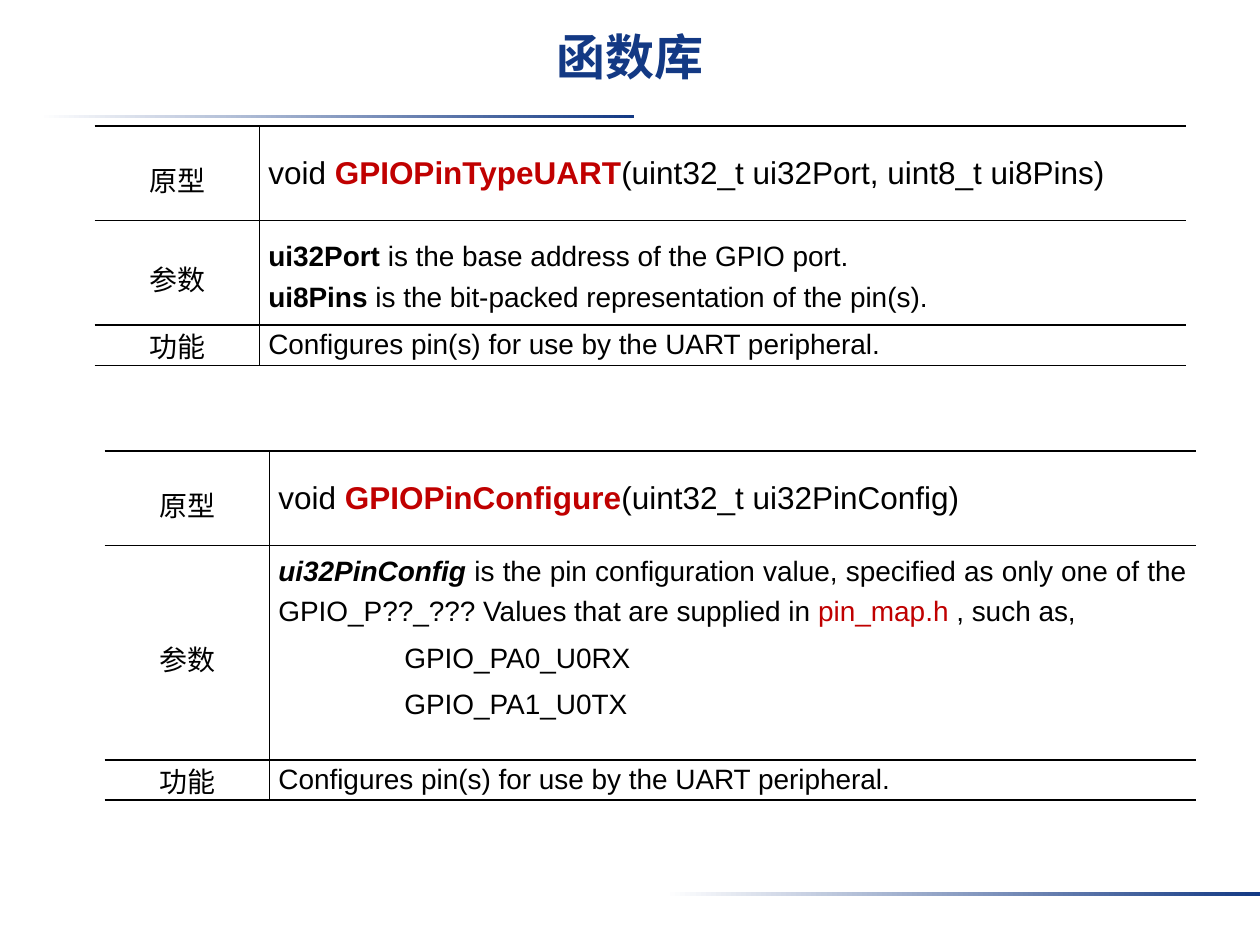
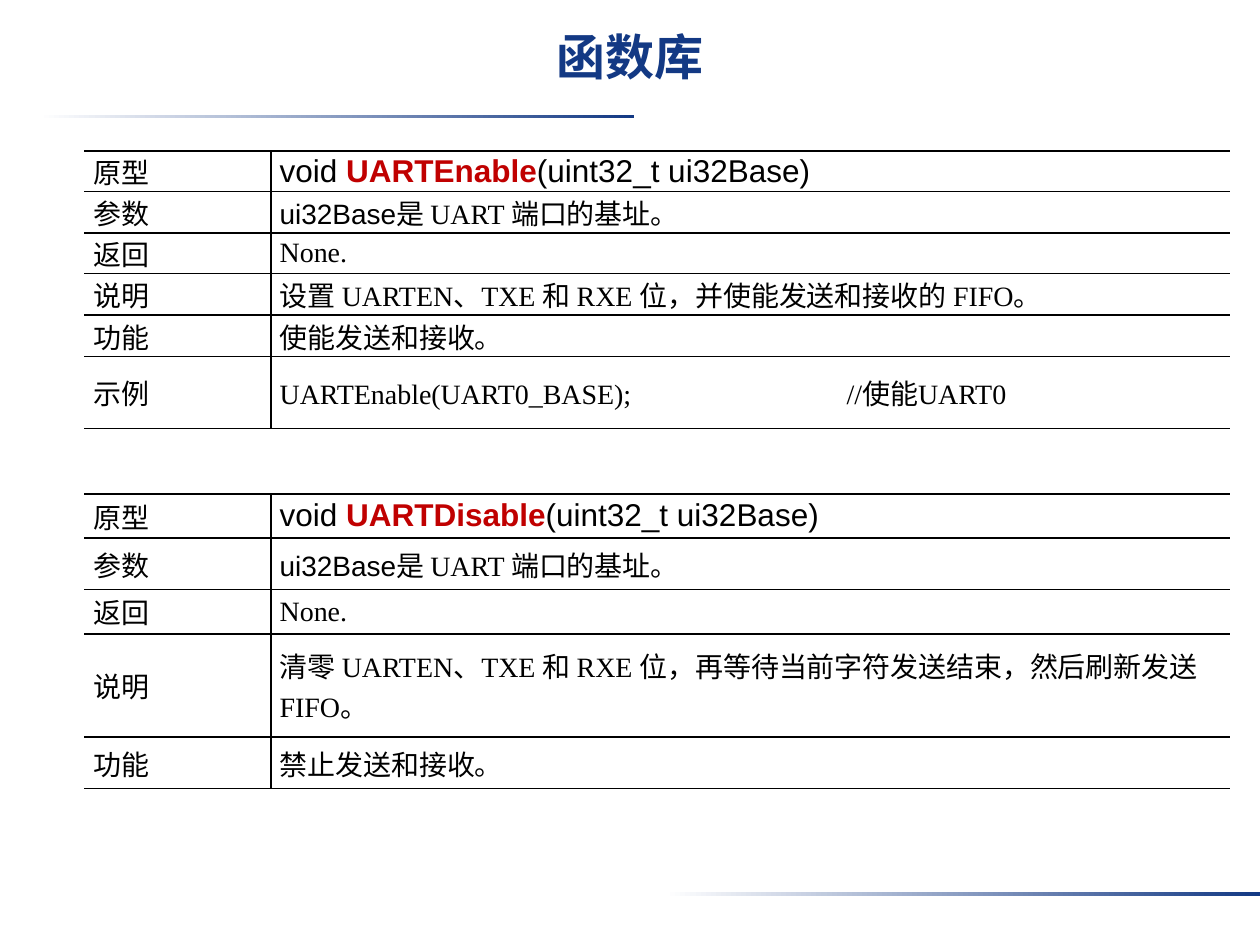
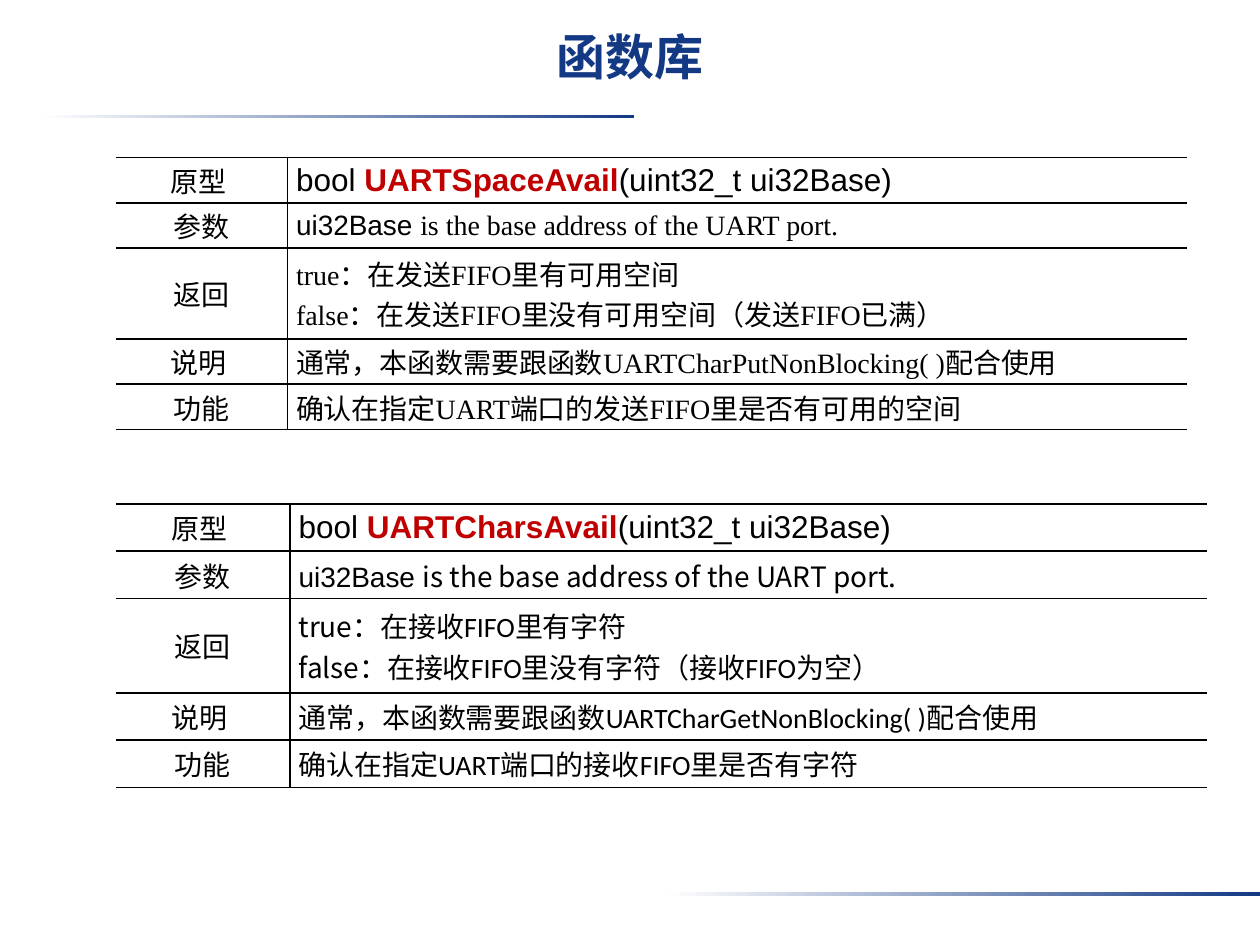
from dataclasses import dataclass

import pptx
import pptx.dml.color
import pptx.enum.dml
import pptx.enum.shapes
import pptx.enum.text
import pptx.oxml
import pptx.oxml.ns
import pptx.util
from pptx.util import Inches, Pt

RGBColor = pptx.dml.color.RGBColor
ALIGN = pptx.enum.text.PP_ALIGN
ANCHOR = pptx.enum.text.MSO_ANCHOR

NAVY = RGBColor(0x13, 0x39, 0x84)
RED = RGBColor(0xC0, 0x00, 0x00)
BLACK = RGBColor(0, 0, 0)
WHITE = RGBColor(0xFF, 0xFF, 0xFF)

ARIAL, TIMES, CALIBRI = "Arial", "Times New Roman", "Calibri"
CJK = "Noto Sans CJK SC"
TITLE = "函数库"


# Content model
@dataclass(frozen=True)
class Span:
    text: str
    font: str = ""  # empty: the font of the table
    size: int = 16
    bold: bool = False
    italic: bool = False
    color: RGBColor = BLACK


@dataclass(frozen=True)
class Line:
    spans: tuple[Span, ...]
    align: ALIGN = ALIGN.JUSTIFY
    spacing: float = 1.0
    indent: float = 0


@dataclass(frozen=True)
class Row:
    label: str
    height: float
    lines: tuple[Line, ...]
    label_spacing: float = 1.0
    bottom_margin: float = 0


@dataclass(frozen=True)
class FunctionTable:
    left: float
    top: float
    widths: tuple[float, float]
    rows: tuple[Row, ...]
    font: str = TIMES
    label_align: ALIGN = ALIGN.CENTER


@dataclass(frozen=True)
class Band:
    left: float
    top: float


BANDS = (Band(0.31, 0.91), Band(5.28, 7.08))


def line(*spans: Span | str, **layout) -> Line:
    return Line(tuple(Span(s) if isinstance(s, str) else s for s in spans), **layout)


def row(label: str, height: float, *lines: Line | str, **layout) -> Row:
    return Row(label, height, tuple(line(t) if isinstance(t, str) else t for t in lines), **layout)


def prototype(returns: str, name: str, arguments: str) -> Line:
    return line(Span(f"{returns} ", ARIAL, 18), Span(name, ARIAL, 18, bold=True, color=RED),
                Span(f"({arguments}) ", ARIAL, 18), align=ALIGN.LEFT)


# Text
def add_text(paragraph, text: str, *, font: str, size: float, color: RGBColor = BLACK,
             bold: bool = False, italic: bool = False) -> None:
    run = paragraph.add_run()
    run.text = text
    run.font.name, run.font.size = font, Pt(size)
    run.font.bold, run.font.italic = bold, italic
    run.font.color.rgb = color
    properties = run.font._element if hasattr(run.font, "_element") else run._r.get_or_add_rPr()
    properties.set("lang", "zh-CN")
    east_asian = pptx.oxml.parse_xml(
        f'<a:ea {pptx.oxml.ns.nsdecls("a")} typeface="{CJK}"/>')
    properties.find(pptx.oxml.ns.qn("a:latin")).addnext(east_asian)


# Tables
def set_borders(cell, visible: str) -> None:
    properties = cell._tc.get_or_add_tcPr()
    for position, side in enumerate("LRTB"):
        paint = f'<a:solidFill><a:srgbClr val="{BLACK}"/></a:solidFill>'
        if side not in visible:
            paint = "<a:noFill/>"
        properties.insert(position, pptx.oxml.parse_xml(
            f'<a:ln{side} {pptx.oxml.ns.nsdecls("a")} w="{Pt(1)}">{paint}</a:ln{side}>'))


def fill_cell(cell, lines: tuple[Line, ...], font: str, borders: str, bottom: float = 0) -> None:
    cell.fill.background()
    cell.vertical_anchor = ANCHOR.MIDDLE
    cell.margin_left = cell.margin_right = Inches(0.07)
    cell.margin_top, cell.margin_bottom = 0, Inches(bottom)
    for index, content in enumerate(lines):
        frame = cell.text_frame
        paragraph = frame.add_paragraph() if index else frame.paragraphs[0]
        paragraph.alignment = content.align
        paragraph.line_spacing = content.spacing
        if content.indent:
            paragraph._p.get_or_add_pPr().set("marL", str(Inches(content.indent)))
        for span in content.spans:
            add_text(paragraph, span.text, font=span.font or font, size=span.size,
                     bold=span.bold, italic=span.italic, color=span.color)
    set_borders(cell, borders)


def add_function_table(slide, spec: FunctionTable) -> None:
    height = sum(r.height for r in spec.rows)
    table = slide.shapes.add_table(len(spec.rows), 2, Inches(spec.left), Inches(spec.top),
                                   Inches(sum(spec.widths)), Inches(height)).table
    table.first_row = table.horz_banding = False
    for column, width in zip(table.columns, spec.widths):
        column.width = Inches(width)
    for index, content in enumerate(spec.rows):
        table.rows[index].height = Inches(content.height)
        label = line(content.label, align=spec.label_align, spacing=content.label_spacing)
        fill_cell(table.cell(index, 0), (label,), spec.font, "RTB")
        fill_cell(table.cell(index, 1), content.lines, spec.font, "LTB", content.bottom_margin)


# Shared title and gradient bands
def add_title(slide) -> None:
    title = slide.shapes.title
    title.left, title.top, title.width, title.height = 0, Inches(0.2), Inches(10), Inches(0.75)
    frame = title.text_frame
    frame.auto_size = pptx.enum.text.MSO_AUTO_SIZE.NONE
    frame.vertical_anchor = ANCHOR.TOP
    frame.margin_top, frame.margin_bottom = Inches(0.06), Inches(0.05)
    paragraph = frame.paragraphs[0]
    paragraph.alignment = ALIGN.CENTER
    paragraph.line_spacing = 0.9
    add_text(paragraph, TITLE, font=ARIAL, size=28, bold=True, color=NAVY)


def add_master_bands(master, slide) -> None:
    for spec in BANDS:
        band = slide.shapes.add_shape(pptx.enum.shapes.MSO_SHAPE.RECTANGLE, Inches(spec.left),
                                      Inches(spec.top), Inches(4.72), Inches(0.03))
        band.shadow.inherit = False
        band.line.fill.background()
        band.fill.gradient()
        band.fill.gradient_angle = 0
        for stop, position, color in zip(band.fill.gradient_stops, (0, 1), (WHITE, NAVY)):
            stop.position = position
            stop.color.rgb = color
        master.shapes.element.append(band.element)


# Slide 1: pin set-up
UART_PINS = "Configures pin(s) for use by the UART peripheral.  "
PIN_TYPE = FunctionTable(0.75, 1, (1.31, 7.35), (
    row("原型", 0.75, prototype("void", "GPIOPinTypeUART", "uint32_t ui32Port, uint8_t ui8Pins"),
        label_spacing=1.3),
    row("参数", 0.83,
        line(Span("ui32Port ", bold=True), "is the base address of the GPIO port. ", spacing=1.3),
        line(Span("ui8Pins ", bold=True), "is the bit-packed representation of the pin(s). ",
             spacing=1.3),
        label_spacing=1.3),
    row("功能", 0.32, UART_PINS)), font=ARIAL)
PIN_CONFIGURE = FunctionTable(0.83, 3.58, (1.31, 7.35), (
    row("原型", 0.75, prototype("void", "GPIOPinConfigure", "uint32_t ui32PinConfig"),
        label_spacing=1.3),
    row("参数", 1.7,
        line(Span("ui32PinConfig ", bold=True, italic=True),
             "is the pin configuration value, specified as only one of the "
             "GPIO_P??_??? Values that are supplied in ",
             Span("pin_map.h", color=RED), " , such as,", spacing=1.3),
        *(line(pin, align=ALIGN.LEFT, spacing=1.5, indent=1)
          for pin in ("GPIO_PA0_U0RX", "GPIO_PA1_U0TX")),
        label_spacing=1.3, bottom_margin=0.3),
    row("功能", 0.32, UART_PINS)), font=ARIAL)

# Slide 2: switching the port on and off
BASE_ADDRESS = line(Span("ui32Base", ARIAL), "是 UART 端口的基址。", align=ALIGN.LEFT)
ENABLE = FunctionTable(0.67, 1.2, (1.48, 7.61), (
    row("原型", 0.32, prototype("void", "UARTEnable", "uint32_t ui32Base")),
    row("参数", 0.33, BASE_ADDRESS),
    row("返回", 0.32, "None."),
    row("说明", 0.33, line("设置 UARTEN、TXE 和 RXE 位，并使能发送和接收的 FIFO。", align=ALIGN.LEFT)),
    row("功能", 0.33, "使能发送和接收。 "),
    row("示例", 0.57, "UARTEnable(UART0_BASE);\t\t\t\t//使能UART0")), label_align=ALIGN.JUSTIFY)
DISABLE = FunctionTable(0.67, 3.92, (1.48, 7.61), (
    row("原型", 0.35, prototype("void", "UARTDisable", "uint32_t ui32Base")),
    row("参数", 0.41, BASE_ADDRESS),
    row("返回", 0.35, "None."),
    row("说明", 0.82, line("清零 UARTEN、TXE 和 RXE 位，再等待当前字符发送结束，然后刷新发送 FIFO。",
                         align=ALIGN.LEFT)),
    row("功能", 0.41, "禁止发送和接收。 ")), label_align=ALIGN.JUSTIFY)

# Slide 3: checking the queues
SPACE_AVAIL = FunctionTable(0.92, 1.25, (1.36, 7.14), (
    row("原型 ", 0.36, prototype("bool", "UARTSpaceAvail", "uint32_t ui32Base")),
    row("参数", 0.36, line(Span("ui32Base ", ARIAL), "is the base address of the UART port. ")),
    row("返回", 0.72, "true：在发送FIFO里有可用空间",
        "false：在发送FIFO里没有可用空间（发送FIFO已满） "),
    row("说明 ", 0.36, "通常，本函数需要跟函数UARTCharPutNonBlocking( )配合使用"),
    row("功能", 0.36, "确认在指定UART端口的发送FIFO里是否有可用的空间")))
CHARS_AVAIL = FunctionTable(0.92, 4, (1.38, 7.28), (
    row("原型 ", 0.375, prototype("bool", "UARTCharsAvail", "uint32_t ui32Base")),
    row("参数", 0.375, line(Span("ui32Base ", ARIAL),
                          Span("is the base address of the UART port.", CJK))),
    row("返回", 0.75, line(Span("true", CJK), "：在接收FIFO里有字符"),
        line(Span("false", CJK), "：在接收FIFO里没有字符（接收FIFO为空） ")),
    row("说明 ", 0.375, "通常，本函数需要跟函数UARTCharGetNonBlocking( )配合使用"),
    row("功能", 0.375, "确认在指定UART端口的接收FIFO里是否有字符")), font=CALIBRI)

SLIDES = ((PIN_TYPE, PIN_CONFIGURE), (ENABLE, DISABLE), (SPACE_AVAIL, CHARS_AVAIL))


def main() -> None:
    presentation = pptx.Presentation()
    presentation.slide_width, presentation.slide_height = Inches(10), Inches(7.5)
    title_only = presentation.slide_layouts[5]
    for number, tables in enumerate(SLIDES):
        slide = presentation.slides.add_slide(title_only)
        if number == 0:
            add_master_bands(presentation.slide_master, slide)
        add_title(slide)
        for spec in tables:
            add_function_table(slide, spec)
    presentation.save("out.pptx")


if __name__ == "__main__":
    main()
